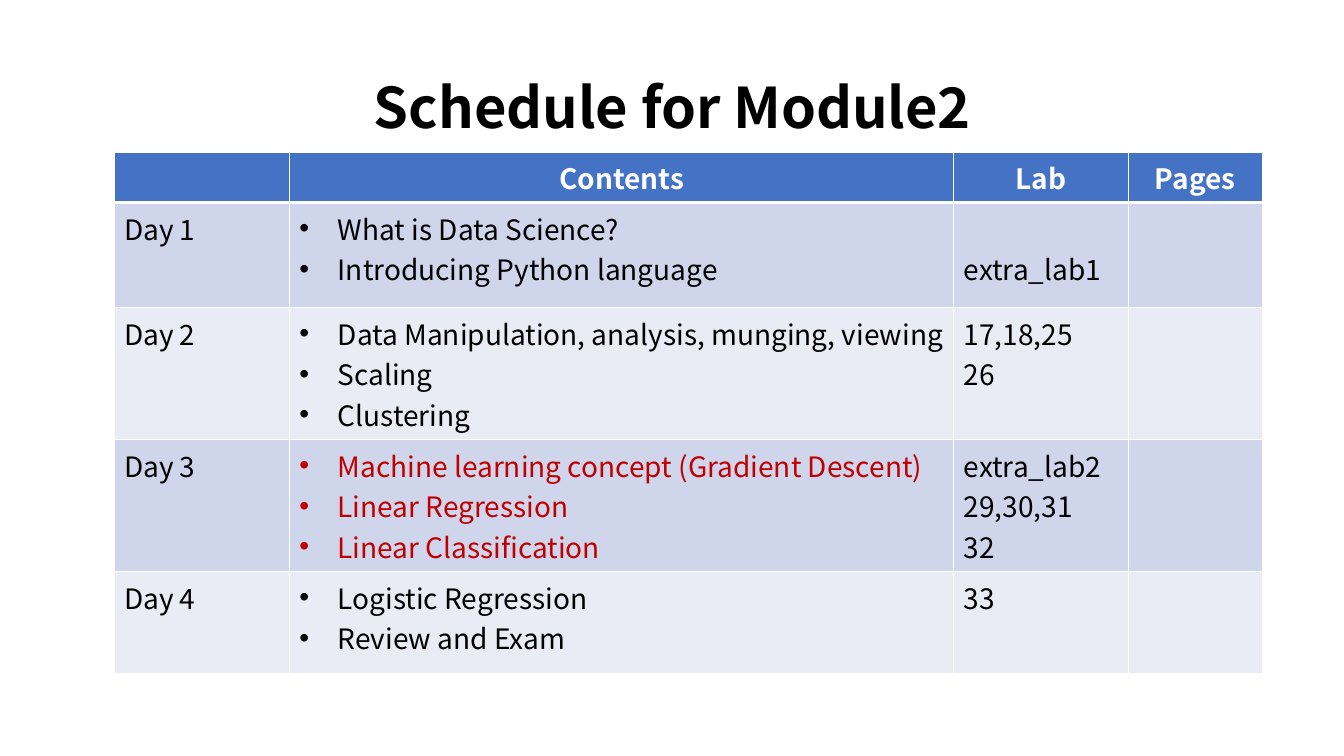
from lxml import etree
from pptx import Presentation
from pptx.dml.color import RGBColor
from pptx.enum import text
from pptx.oxml import ns
from pptx.util import Inches, Pt

FONT = "Noto Sans CJK KR"
COLORS = {
    "header": "4472C4",
    "odd_day": "CFD5EA",
    "even_day": "E9EBF5",
    "black": "000000",
    "white": "FFFFFF",
    "highlight": "C00000",
}
HEADINGS = ["", "Contents", "Lab", "Pages"]
COLUMN_WIDTHS = [1.74, 6.59, 1.73, 1.33]
ROW_HEIGHTS = [0.5, 1.04, 1.31, 1.31, 1.01]
BULLET_INDENT = 0.38
CELL_MARGIN = 0.05
LINE_HEIGHT = 0.4
# Topics, labs, topic colour, and the topic line on which the labs start
DAYS = [
    (["What is Data Science?", "Introducing Python language"],
     ["extra_lab1"], "black", 1),
    (["Data Manipulation, analysis, munging, viewing", "Scaling", "Clustering"],
     ["17,18,25", "26"], "black", 0),
    (["Machine learning concept (Gradient Descent)", "Linear Regression",
      "Linear Classification"],
     ["extra_lab2", "29,30,31", "32"], "highlight", 0),
    (["Logistic Regression", "Review and Exam"], ["33"], "black", 0),
]


def rgb(name):
    return RGBColor.from_string(COLORS[name])


def add_bullet(paragraph):
    properties = paragraph._p.get_or_add_pPr()
    properties.set("marL", str(Inches(BULLET_INDENT)))
    properties.set("indent", str(-Inches(BULLET_INDENT)))
    etree.SubElement(properties, ns.qn("a:buFont"), typeface="Arial")
    etree.SubElement(properties, ns.qn("a:buChar"), char="•")


def write_lines(frame, lines, color="black", size=20, bold=False,
                centered=False, bulleted=False):
    for number, line in enumerate(lines):
        paragraph = frame.paragraphs[0] if number == 0 else frame.add_paragraph()
        if centered:
            paragraph.alignment = text.PP_ALIGN.CENTER
        if bulleted:
            add_bullet(paragraph)
        run = paragraph.add_run()
        run.text = line
        run.font.name = FONT
        run.font.size = Pt(size)
        run.font.bold = bold
        run.font.color.rgb = rgb(color)


def style_cell(cell, fill, top=1, bottom=1):
    """Give the cell white borders and a plain fill; widths are in points."""
    properties = cell._tc.get_or_add_tcPr()
    for side, width in (("L", 1), ("R", 1), ("T", top), ("B", bottom)):
        border = etree.SubElement(properties, ns.qn(f"a:ln{side}"), w=str(Pt(width)))
        solid = etree.SubElement(border, ns.qn("a:solidFill"))
        etree.SubElement(solid, ns.qn("a:srgbClr"), val=COLORS["white"])
    cell.fill.solid()
    cell.fill.fore_color.rgb = rgb(fill)
    cell.margin_top = cell.margin_bottom = Inches(CELL_MARGIN)


def add_title(slide, left, top, width, height):
    title = slide.shapes.add_textbox(*map(Inches, (left, top, width, height)))
    frame = title.text_frame
    frame.word_wrap = True
    frame.vertical_anchor = text.MSO_ANCHOR.BOTTOM
    write_lines(frame, ["Schedule for Module2"], size=40, bold=True, centered=True)
    frame.paragraphs[0].line_spacing = 0.9


def add_schedule(slide, left, top):
    box = (left, top, sum(COLUMN_WIDTHS), sum(ROW_HEIGHTS))
    schedule = slide.shapes.add_table(
        len(ROW_HEIGHTS), len(COLUMN_WIDTHS), *map(Inches, box)).table
    for column, width in zip(schedule.columns, COLUMN_WIDTHS):
        column.width = Inches(width)
    for row, height in zip(schedule.rows, ROW_HEIGHTS):
        row.height = Inches(height)

    for cell, heading in zip(schedule.rows[0].cells, HEADINGS):
        style_cell(cell, "header", bottom=3)
        if heading:
            write_lines(cell.text_frame, [heading], "white", bold=True, centered=True)

    for day, (topics, labs, topic_color, lab_line) in enumerate(DAYS, start=1):
        cells = list(schedule.rows[day].cells)
        for cell in cells:
            style_cell(cell, "odd_day" if day % 2 else "even_day",
                       top=3 if day == 1 else 1)
        day_cell, contents_cell, lab_cell, _ = cells
        write_lines(day_cell.text_frame, [f"Day {day}"])
        write_lines(contents_cell.text_frame, topics, topic_color, bulleted=True)
        contents_cell.margin_right = Inches(CELL_MARGIN)
        write_lines(lab_cell.text_frame, labs)
        lab_cell.margin_top = Inches(CELL_MARGIN + lab_line * LINE_HEIGHT)


def main():
    deck = Presentation()
    deck.slide_width, deck.slide_height = Inches(13.33), Inches(7.5)
    slide = deck.slides.add_slide(deck.slide_layouts[6])
    add_title(slide, 1.67, 0.56, 10, 0.88)
    add_schedule(slide, 1.13, 1.51)
    deck.save("out.pptx")


if __name__ == "__main__":
    main()
